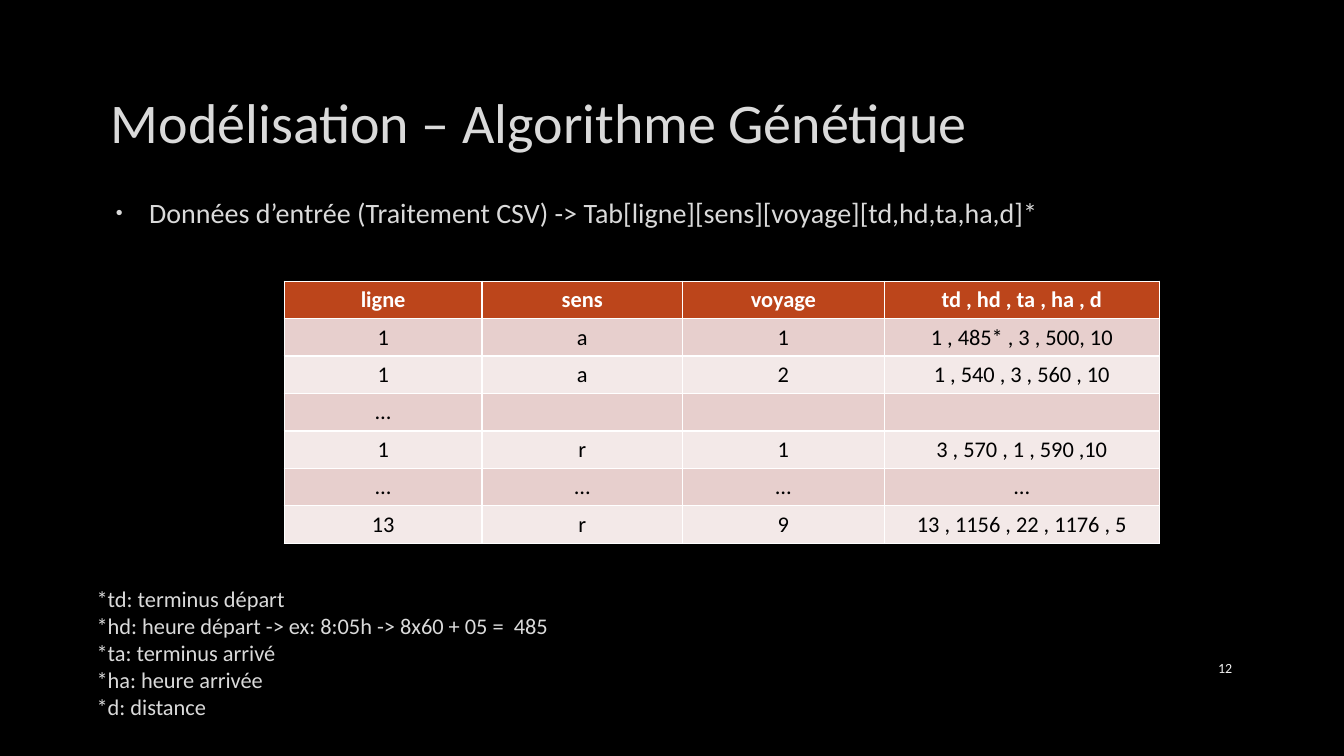
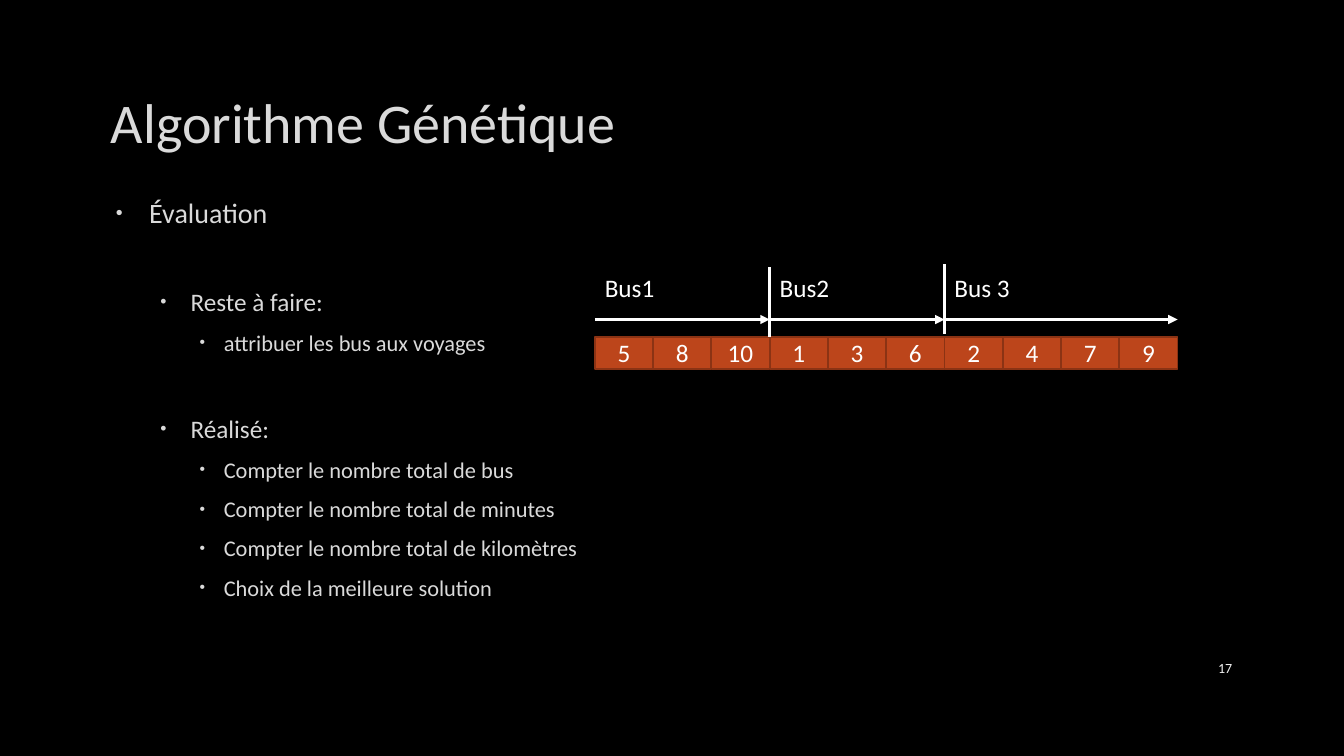
from dataclasses import dataclass
from itertools import accumulate

from lxml import etree
from pptx import Presentation
from pptx import util as u
from pptx.dml.color import RGBColor
from pptx.enum import shapes, text
from pptx.oxml import ns


@dataclass(frozen=True)
class Theme:
    font: str = "Calibri"
    background: str = "000000"
    soft: str = "DADADA"
    white: str = "FFFFFF"
    number: str = "F2F2F2"
    accent: str = "BC451B"
    edge: str = "8B3314"
    bands: tuple = ("E7CFCD", "F3E9E8")
    title_size: int = 40
    label_size: int = 18
    small_size: int = 16
    number_size: int = 10


THEME = Theme()
WIDTH, HEIGHT = 13.33, 7.5
MARGIN, CONTENT_WIDTH = 1, 11.32

# Body levels: type size, text indent, hanging indent, space before
LEVELS = [(20, 0.38, 0.33, 4), (18, 0.79, 0.3, 3.6), (16, 1.12, 0.24, 2.8)]
SECTION_GAP = 35

# Content: bullets are (level, text, opens a section)
INPUT_SLIDE = {
    "title": "Modélisation – Algorithme Génétique",
    "number": 12,
    "body_height": 2.4,
    "bullets": [(0, "Données d’entrée (Traitement CSV) -> "
                    "Tab[ligne][sens][voyage][td,hd,ta,ha,d]*", False)],
}
EVALUATION_SLIDE = {
    "title": "Algorithme Génétique",
    "number": 17,
    "body_height": 4.54,
    "bullets": [
        (0, "Évaluation", False),
        (1, "Reste à faire:", True),
        (2, "attribuer les bus aux voyages", False),
        (1, "Réalisé:", True),
        (2, "Compter le nombre total de bus", False),
        (2, "Compter le nombre total de minutes", False),
        (2, "Compter le nombre total de kilomètres", False),
        (2, "Choix de la meilleure solution", False),
    ],
}
TRIP_COLUMNS = [1.96, 1.99, 2, 2.73]
TRIP_ROWS = [
    ("ligne", "sens", "voyage", "td , hd , ta , ha , d"),
    ("1", "a", "1", "1 , 485* , 3 , 500, 10"),
    ("1", "a", "2", "1 , 540 , 3 , 560 , 10"),
    ("…", "", "", ""),
    ("1", "r", "1", "3 , 570 , 1 , 590 ,10"),
    ("…", "…", "…", "…"),
    ("13", "r", "9", "13 , 1156 , 22 , 1176 , 5"),
]
LEGEND = [
    "*td: terminus départ",
    "*hd: heure départ -> ex: 8:05h -> 8x60 + 05 =  485",
    "*ta: terminus arrivé",
    "*ha: heure arrivée",
    "*d: distance",
]
BUSES = [("Bus1", [5, 8, 10]), ("Bus2", [1, 3, 6]), ("Bus 3", [2, 4, 7, 9])]


def color(value):
    return RGBColor.from_string(value)


def place(shape, left, top, width, height):
    shape.left, shape.top = u.Inches(left), u.Inches(top)
    shape.width, shape.height = u.Inches(width), u.Inches(height)


def style(para, size, ink, align=text.PP_ALIGN.LEFT, bold=False):
    para.alignment = align
    font = para.font
    font.name, font.size, font.bold = THEME.font, u.Pt(size), bold
    font.color.rgb = color(ink)


def add_label(page, box_at, lines, size, ink, wrap=True, **options):
    box = page.shapes.add_textbox(*map(u.Inches, box_at))
    frame = box.text_frame
    frame.word_wrap = wrap
    frame.text = "\n".join(lines)
    for para in frame.paragraphs:
        style(para, size, ink, **options)
    return frame


def add_bullet(para, level, words, opens_section):
    size, indent, hanging, before = LEVELS[level]
    para.text, para.level = words, level
    para.space_before = u.Pt(SECTION_GAP if opens_section else before)
    para.space_after = u.Pt(6)
    props = para._p.get_or_add_pPr()
    props.set("marL", str(u.Inches(indent)))
    props.set("indent", str(-u.Inches(hanging)))
    tint = etree.SubElement(props, ns.qn("a:buClr"))
    etree.SubElement(tint, ns.qn("a:srgbClr"), val=THEME.soft)
    etree.SubElement(props, ns.qn("a:buSzPct"), val="70000")
    etree.SubElement(props, ns.qn("a:buFont"), typeface="Arial")
    etree.SubElement(props, ns.qn("a:buChar"), char="•")
    style(para, size, THEME.soft)


def add_page(deck, content):
    page = deck.slides.add_slide(deck.slide_layouts[1])
    # Title
    title = page.shapes.title
    place(title, MARGIN, 0.67, CONTENT_WIDTH, 1.06)
    title.text_frame.text = content["title"]
    title.text_frame.vertical_anchor = text.MSO_ANCHOR.MIDDLE
    style(title.text_frame.paragraphs[0], THEME.title_size, THEME.soft)
    # Bullets
    body = page.placeholders[1]
    place(body, MARGIN, 1.89, CONTENT_WIDTH, content["body_height"])
    frame = body.text_frame
    frame.auto_size = text.MSO_AUTO_SIZE.NONE
    for index, bullet in enumerate(content["bullets"]):
        para = frame.add_paragraph() if index else frame.paragraphs[0]
        add_bullet(para, *bullet)
    # Page number
    number = add_label(page, (11.5, 6.43, 0.82, 0.4), [str(content["number"])],
                       THEME.number_size, THEME.number, align=text.PP_ALIGN.RIGHT)
    number.vertical_anchor = text.MSO_ANCHOR.MIDDLE
    return page


def add_trip_table(page):
    frame = page.shapes.add_table(
        len(TRIP_ROWS), len(TRIP_COLUMNS), u.Inches(2.82), u.Inches(2.79),
        u.Inches(sum(TRIP_COLUMNS)), u.Inches(2.6))
    table = frame.table
    for column, width in zip(table.columns, TRIP_COLUMNS):
        column.width = u.Inches(width)
    for row, values in enumerate(TRIP_ROWS):
        header = row == 0
        fill = THEME.accent if header else THEME.bands[(row - 1) % 2]
        ink = THEME.white if header else THEME.background
        for column, value in enumerate(values):
            cell = table.cell(row, column)
            cell.text = value
            cell.fill.solid()
            cell.fill.fore_color.rgb = color(fill)
            style(cell.text_frame.paragraphs[0], THEME.small_size, ink,
                  text.PP_ALIGN.CENTER, header)


def add_line(page, x1, y1, x2, y2, arrow=False):
    line = page.shapes.add_connector(
        shapes.MSO_CONNECTOR.STRAIGHT, *map(u.Inches, (x1, y1, x2, y2)))
    line.line.color.rgb = color(THEME.white)
    line.line.width = u.Pt(2.25)
    if arrow:
        etree.SubElement(line.line._get_or_add_ln(), ns.qn("a:tailEnd"), type="triangle")
    etree.SubElement(line._element.spPr, ns.qn("a:effectLst"))


def add_trip_cell(page, trip, left, top, width, height):
    cell = page.shapes.add_shape(
        shapes.MSO_SHAPE.RECTANGLE, *map(u.Inches, (left, top, width, height)))
    cell.shadow.inherit = False
    cell.fill.solid()
    cell.fill.fore_color.rgb = color(THEME.accent)
    cell.line.color.rgb = color(THEME.edge)
    cell.line.width = u.Pt(1.25)
    frame = cell.text_frame
    frame.text = str(trip)
    frame.vertical_anchor = text.MSO_ANCHOR.MIDDLE
    style(frame.paragraphs[0], THEME.label_size, THEME.white, text.PP_ALIGN.CENTER)


def add_bus_timeline(page):
    left, right, cell_top, cell_height = 5.9, 11.68, 3.34, 0.32
    label_top, arrow_y = 2.65, 3.17
    trips = [trip for _, group in BUSES for trip in group]
    step = (right - left) / len(trips)
    # Trips in travel order
    for index, trip in enumerate(trips):
        add_trip_cell(page, trip, left + index * step, cell_top, step, cell_height)
    # One arrow and one label per bus
    ends = list(accumulate(len(group) for _, group in BUSES))
    bounds = [left + count * step for count in [0] + ends]
    for (name, _), start, end in zip(BUSES, bounds, bounds[1:]):
        add_label(page, (start, label_top, 0.79, 0.4), [name],
                  THEME.label_size, THEME.white, wrap=False)
        add_line(page, start, arrow_y, end, arrow_y, arrow=True)
    # Dividers between buses
    for x, lift in zip(bounds[1:-1], (0, 0.03)):
        add_line(page, x, label_top - lift, x, cell_top - lift)


def main():
    deck = Presentation()
    deck.slide_width, deck.slide_height = u.Inches(WIDTH), u.Inches(HEIGHT)
    backdrop = deck.slide_master.background.fill
    backdrop.solid()
    backdrop.fore_color.rgb = color(THEME.background)

    page = add_page(deck, INPUT_SLIDE)
    add_trip_table(page)
    add_label(page, (0.86, 5.76, 6.12, 1.45), LEGEND, THEME.small_size, THEME.soft)

    page = add_page(deck, EVALUATION_SLIDE)
    add_bus_timeline(page)
    deck.save("out.pptx")


if __name__ == "__main__":
    main()
